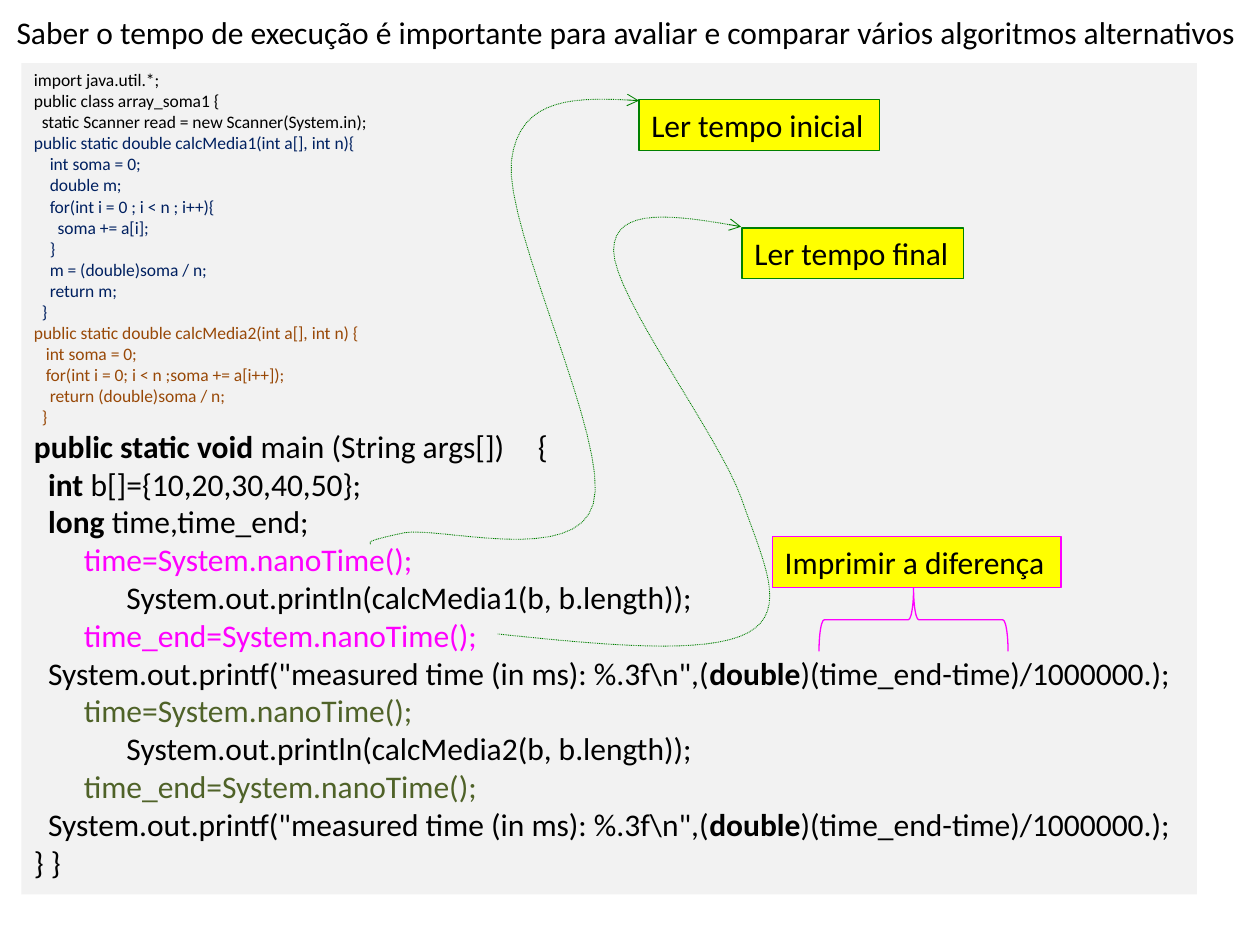
import dataclasses
import typing

import lxml.etree
import pptx
import pptx.dml.color
import pptx.enum.dml
import pptx.enum.shapes
import pptx.enum.text
import pptx.oxml
import pptx.oxml.ns
import pptx.util

Cm = pptx.util.Cm
Pt = pptx.util.Pt
RGBColor = pptx.dml.color.RGBColor

BLACK = RGBColor(0x00, 0x00, 0x00)
NAVY = RGBColor(0x00, 0x20, 0x60)
BROWN = RGBColor(0x98, 0x48, 0x07)
OLIVE = RGBColor(0x4F, 0x62, 0x28)
MAGENTA = RGBColor(0xFF, 0x00, 0xFF)
GREEN = RGBColor(0x00, 0x80, 0x00)
YELLOW = RGBColor(0xFF, 0xFF, 0x00)
PALE_GREY = RGBColor(0xF2, 0xF2, 0xF2)

FONT = "Calibri"
SMALL, LARGE = 10, 18
SPACE_WIDTH = 0.226  # width of one indent column, in ems
BRACE_TAB = Cm(10.48)
CURVE_STEPS = 16

Point = typing.Tuple[float, float]


class Run(typing.NamedTuple):
    text: str
    colour: RGBColor = BLACK
    bold: bool = False


@dataclasses.dataclass
class CodeLine:
    indent: int
    runs: typing.List[Run]
    size: int = LARGE


@dataclasses.dataclass
class Label:
    text: str
    box: typing.Tuple[float, float, float, float]
    border: RGBColor


@dataclasses.dataclass
class Curve:
    start: Point
    segments: typing.List[typing.Tuple[Point, Point, Point]]


def small_lines(colour: RGBColor, *rows: typing.Tuple[int, str]) -> typing.List[CodeLine]:
    """Return lines of small code in one colour."""
    return [CodeLine(indent, [Run(text, colour)], SMALL) for indent, text in rows]


def timing_lines(method: str, colour: RGBColor) -> typing.List[CodeLine]:
    """Return the code that times one method and prints the difference."""
    return [
        CodeLine(7, [Run("time=System.nanoTime();", colour)]),
        CodeLine(13, [Run(f"System.out.println({method}(b, b.length));")]),
        CodeLine(7, [Run("time_end=System.nanoTime();", colour)]),
        CodeLine(2, [Run('System.out.printf("measured time (in ms): %.3f\\n",('),
                     Run("double", bold=True),
                     Run(")(time_end-time)/1000000.);")]),
    ]


CODE = [
    *small_lines(BLACK, (0, "import java.util.*;"), (0, "public class array_soma1 {"),
                 (2, "static Scanner read = new Scanner(System.in);")),
    *small_lines(NAVY, (0, "public static double calcMedia1(int a[], int n){"),
                 (4, "int soma = 0;"), (4, "double m;"),
                 (4, "for(int i = 0 ; i < n ; i++){"), (6, "soma += a[i];"), (4, "}"),
                 (4, "m = (double)soma / n;"), (4, "return m;"), (2, "}")),
    *small_lines(BROWN, (0, "public static double calcMedia2(int a[], int n) {"),
                 (3, "int soma = 0;"), (3, "for(int i = 0; i < n ;soma += a[i++]);"),
                 (4, "return (double)soma / n;"), (2, "}")),
    CodeLine(0, [Run("public static void ", bold=True), Run("main (String args[])\t{")]),
    CodeLine(2, [Run("int", bold=True), Run(" b[]={10,20,30,40,50};")]),
    CodeLine(2, [Run("long ", bold=True), Run("time,time_end;")]),
    *timing_lines("calcMedia1", MAGENTA),
    *timing_lines("calcMedia2", OLIVE),
    CodeLine(0, [Run("} }")]),
]

LABELS = [
    Label("Ler tempo inicial", (12.88, 2.01, 4.85, 1.02), GREEN),
    Label("Ler tempo final", (14.96, 4.6, 4.47, 1.02), GREEN),
    Label("Imprimir a diferença", (15.57, 10.82, 5.82, 1.02), MAGENTA),
]

CURVES = [
    Curve((7.47, 10.97), [
        ((7.44, 10.92), (7.42, 10.9), (8.15, 10.74)),
        ((8.92, 10.62), (11.61, 11.4), (11.96, 10.16)),
        ((12.32, 8.92), (10.16, 4.62), (10.31, 3.25)),
        ((10.46, 1.91), (11.68, 1.96), (12.88, 2.03))]),
    Curve((10.03, 12.78), [
        ((12.14, 13), (14.25, 13.21), (15.09, 12.75)),
        ((15.9, 12.29), (15.39, 11.33), (14.94, 10.03)),
        ((14.48, 8.76), (12.37, 5.97), (12.37, 5.05)),
        ((12.37, 4.14), (13.64, 4.34), (14.94, 4.57))]),
]


def place(shape, left: float, top: float, width: float, height: float) -> None:
    """Move and size a shape, in centimetres."""
    shape.left, shape.top = Cm(left), Cm(top)
    shape.width, shape.height = Cm(width), Cm(height)


def add_run(paragraph, content: Run, size: int = LARGE) -> None:
    """Add one formatted run to a paragraph."""
    run = paragraph.add_run()
    run.text = content.text
    run.font.name, run.font.size = FONT, Pt(size)
    run.font.bold = content.bold
    run.font.color.rgb = content.colour


def prepare_frame(frame, wrap: bool = True) -> None:
    """Anchor a text frame at the top, without fitting the text."""
    frame.word_wrap = wrap
    frame.auto_size = pptx.enum.text.MSO_AUTO_SIZE.NONE
    frame.vertical_anchor = pptx.enum.text.MSO_ANCHOR.TOP
    frame.paragraphs[0].alignment = pptx.enum.text.PP_ALIGN.LEFT


def add_code_line(paragraph, line: CodeLine) -> None:
    """Fill a paragraph with one unbulleted, indented code line."""
    paragraph.space_before = Pt(0)
    properties = paragraph._p.get_or_add_pPr()
    properties.set("marL", str(Pt(line.indent * line.size * SPACE_WIDTH)))
    properties.set("indent", "0")
    lxml.etree.SubElement(properties, pptx.oxml.ns.qn("a:buNone"))
    if any("\t" in run.text for run in line.runs):
        stops = lxml.etree.SubElement(properties, pptx.oxml.ns.qn("a:tabLst"))
        lxml.etree.SubElement(stops, pptx.oxml.ns.qn("a:tab"), pos=str(BRACE_TAB), algn="l")
    for run in line.runs:
        add_run(paragraph, run, line.size)


def add_label(slide, label: Label) -> None:
    """Draw a yellow label."""
    shape = slide.shapes.add_shape(
        pptx.enum.shapes.MSO_SHAPE.RECTANGLE, *(Cm(value) for value in label.box))
    shape.shadow.inherit = False
    shape.fill.solid()
    shape.fill.fore_color.rgb = YELLOW
    shape.line.color.rgb, shape.line.width = label.border, Pt(0.75)
    prepare_frame(shape.text_frame, wrap=False)
    add_run(shape.text_frame.paragraphs[0], Run(label.text))


def curve_points(curve: Curve) -> typing.Iterator[typing.Tuple[int, int]]:
    """Yield points along the cubic segments of a curve."""
    start = curve.start
    for segment in curve.segments:
        for step in range(1, CURVE_STEPS + 1):
            t = step / CURVE_STEPS
            weights = ((1 - t) ** 3, 3 * t * (1 - t) ** 2, 3 * t * t * (1 - t), t ** 3)
            x, y = (sum(weight * point[axis] for weight, point in zip(weights, (start, *segment)))
                    for axis in (0, 1))
            yield Cm(x), Cm(y)
        start = segment[-1]


def add_curved_arrow(slide, curve: Curve) -> None:
    """Draw a dotted green curve that ends in an arrow."""
    builder = slide.shapes.build_freeform(*(Cm(value) for value in curve.start))
    builder.add_line_segments(list(curve_points(curve)), close=False)
    shape = builder.convert_to_shape()
    shape.shadow.inherit = False
    shape.fill.background()
    shape.line.color.rgb, shape.line.width = GREEN, Pt(0.5)
    shape.line.dash_style = pptx.enum.dml.MSO_LINE.ROUND_DOT
    lxml.etree.SubElement(shape.line._get_or_add_ln(), pptx.oxml.ns.qn("a:tailEnd"), type="arrow")


def add_brace(slide) -> None:
    """Draw the brace over the time difference."""
    brace = slide.shapes.add_shape(
        pptx.enum.shapes.MSO_SHAPE.LEFT_BRACE, Cm(17.78), Cm(10.59), Cm(1.27), Cm(3.81))
    brace.rotation = 90
    brace.shadow.inherit = False
    brace.fill.background()
    brace.line.color.rgb, brace.line.width = MAGENTA, Pt(0.75)


def main() -> None:
    """Build and save the slide."""
    presentation = pptx.Presentation()
    presentation.slide_width, presentation.slide_height = Cm(25.4), Cm(19.05)
    slide = presentation.slides.add_slide(presentation.slide_layouts[1])
    title, body = slide.shapes.title, slide.placeholders[1]
    place(title, 0.08, 0.13, 25.35, 1.02)
    prepare_frame(title.text_frame)
    add_run(title.text_frame.paragraphs[0], Run(
        "Saber o tempo de execução é importante para avaliar e comparar "
        "vários algoritmos alternativos"))
    place(body, 0.43, 1.27, 23.7, 16.76)
    body.fill.solid()
    body.fill.fore_color.rgb = PALE_GREY
    frame = body.text_frame
    prepare_frame(frame)
    for number, line in enumerate(CODE):
        add_code_line(frame.add_paragraph() if number else frame.paragraphs[0], line)
    for curve in CURVES:
        add_curved_arrow(slide, curve)
    add_brace(slide)
    for label in LABELS:
        add_label(slide, label)
    presentation.save("out.pptx")


main()
